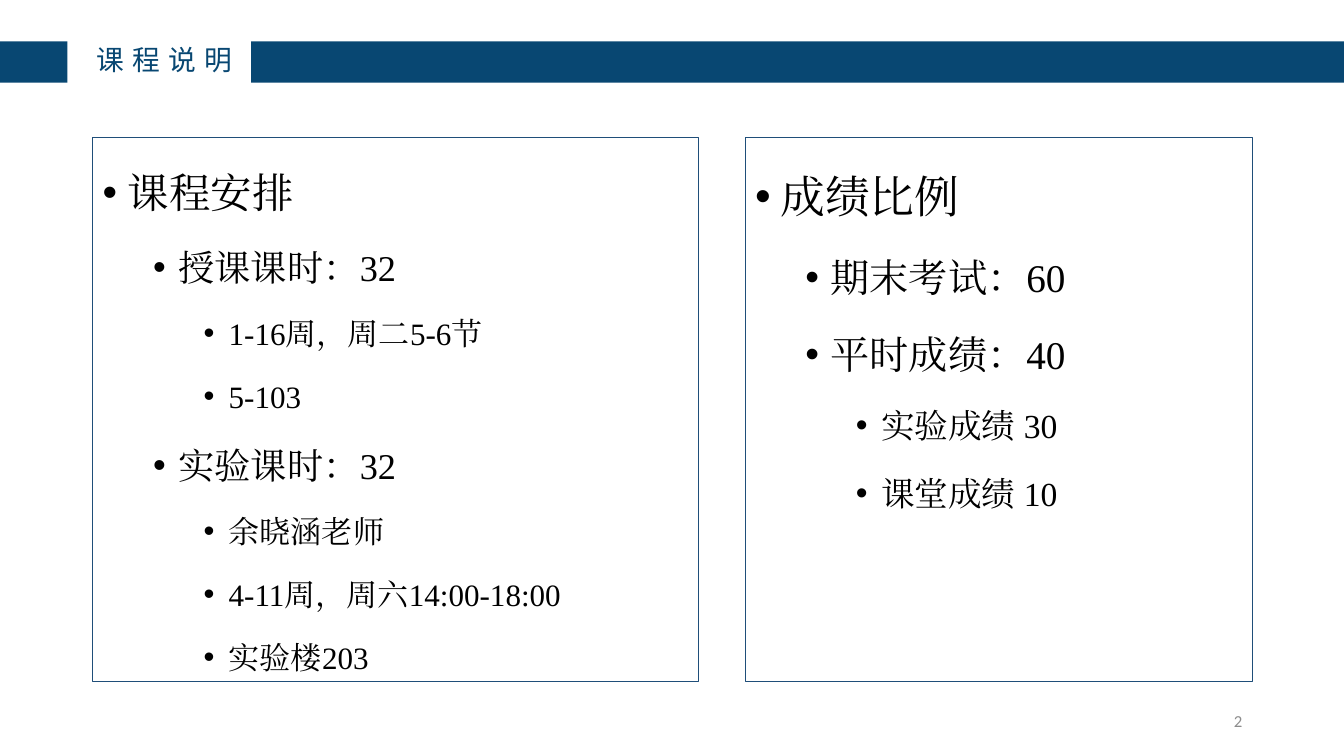
"""Build the course overview slide: a title band, two outlined panels and a page number."""
from lxml.etree import SubElement
from pptx import Presentation
from pptx.dml.color import RGBColor
from pptx.enum.shapes import MSO_SHAPE as Shape
from pptx.enum.text import MSO_ANCHOR as Anchor, PP_ALIGN as Align
from pptx.oxml.ns import qn
from pptx.util import Inches, Pt

NAVY = RGBColor(0x08, 0x47, 0x72)
OUTLINE = RGBColor(0x1F, 0x4E, 0x79)
BLACK = RGBColor(0, 0, 0)
GREY = RGBColor(0x8C, 0x8C, 0x8C)

WIDTH, HEIGHT = 13.33, 7.5
BAND_TOP = BAND_HEIGHT = 0.41
PANEL_TOP, PANEL_HEIGHT = 1.36, 5.4
RIGHT_EDGE = 12.42
INDENT, LEVEL_STEP = 0.25, 0.5
LEVEL_SIZES = (32, 28, 24)

PANELS = (
    (0.92, 6.01, 0.925, (
        (0, "课程安排"),
        (1, "授课课时：32"),
        (2, "1-16周，周二5-6节"),
        (2, "5-103"),
        (1, "实验课时：32"),
        (2, "余晓涵老师"),
        (2, "4-11周，周六14:00-18:00"),
        (2, "实验楼203"),
    )),
    (7.39, 5.03, 1, (
        (0, "成绩比例"),
        (1, "期末考试：60"),
        (1, "平时成绩：40"),
        (2, "实验成绩 30"),
        (2, "课堂成绩 10"),
    )),
)


def style(paragraph, face, size, color):
    """Give every run its Latin and East Asian face, size and colour."""
    for run in paragraph.runs:
        run.font.name = face
        run.font.size = Pt(size)
        run.font.color.rgb = color
        SubElement(run.font._element, qn("a:ea"), typeface=face)


def add_box(left, top, width, height):
    """Add a plain rectangle without shadow, fill or line."""
    box = slide.shapes.add_shape(
        Shape.RECTANGLE, Inches(left), Inches(top), Inches(width), Inches(height))
    box.shadow.inherit = False
    box.fill.background()
    box.line.fill.background()
    return box


deck = Presentation()
deck.slide_width, deck.slide_height = Inches(WIDTH), Inches(HEIGHT)
slide = deck.slides.add_slide(deck.slide_layouts[6])

for left, width, scale, items in PANELS:
    panel = add_box(left, PANEL_TOP, width, PANEL_HEIGHT)
    panel.line.color.rgb = OUTLINE
    panel.line.width = Pt(0.75)
    outline = panel.text_frame
    outline.word_wrap = True
    outline.vertical_anchor = Anchor.TOP
    outline.text = "\n".join(text for _, text in items)
    for index, (item, (level, _)) in enumerate(zip(outline.paragraphs, items)):
        item.level = level
        item.alignment = Align.LEFT
        item.line_spacing = 1.5
        item.space_before = Pt(5 if index else 0)
        bullet = item._p.get_or_add_pPr()
        bullet.set("marL", str(Inches(INDENT + level * LEVEL_STEP)))
        bullet.set("indent", str(Inches(-INDENT)))
        SubElement(bullet, qn("a:buFont"), typeface="Arial")
        SubElement(bullet, qn("a:buChar"), char="•")
        style(item, "Times New Roman", LEVEL_SIZES[level] * scale, BLACK)

for start, end in ((0, 0.67), (2.49, WIDTH)):
    band = add_box(start, BAND_TOP, end - start, BAND_HEIGHT)
    band.fill.solid()
    band.fill.fore_color.rgb = NAVY

LABELS = (
    ("课程说明", 0.86, BAND_TOP, 4.43, BAND_HEIGHT, Align.LEFT, "Noto Sans CJK SC", 19.8, NAVY, 6),
    ("2", RIGHT_EDGE - 3, 6.95, 3, 0.4, Align.RIGHT, "Calibri", 12, GREY, 0),
)
for text, left, top, width, height, align, face, size, color, tracking in LABELS:
    label = slide.shapes.add_textbox(
        Inches(left), Inches(top), Inches(width), Inches(height)).text_frame
    label.word_wrap = True
    label.vertical_anchor = Anchor.MIDDLE
    label.text = text
    line = label.paragraphs[0]
    line.alignment = align
    line.line_spacing = 0.9 if tracking else 1.0
    style(line, face, size, color)
    line.runs[0].font._element.set("spc", str(tracking * 100))

deck.save("out.pptx")
